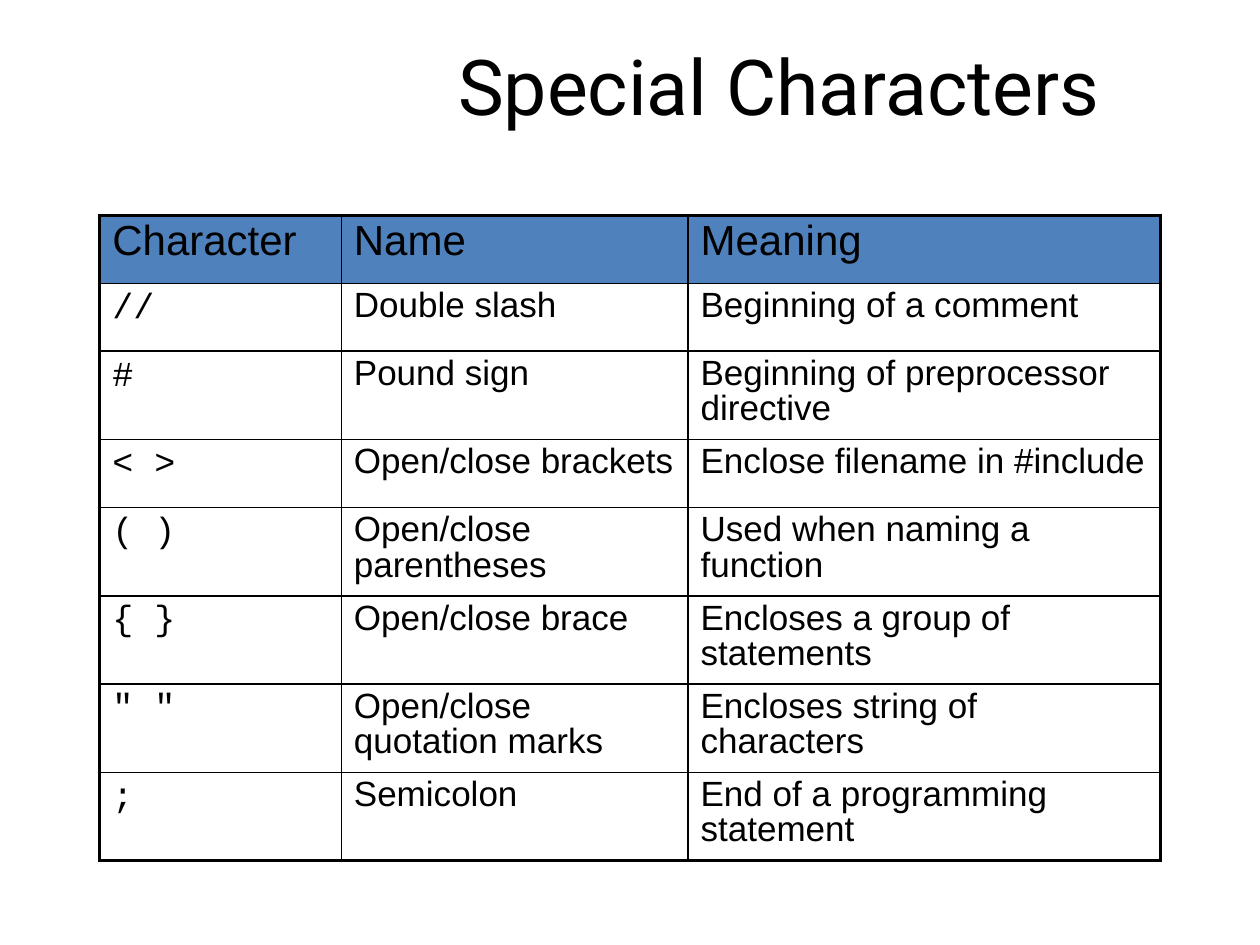
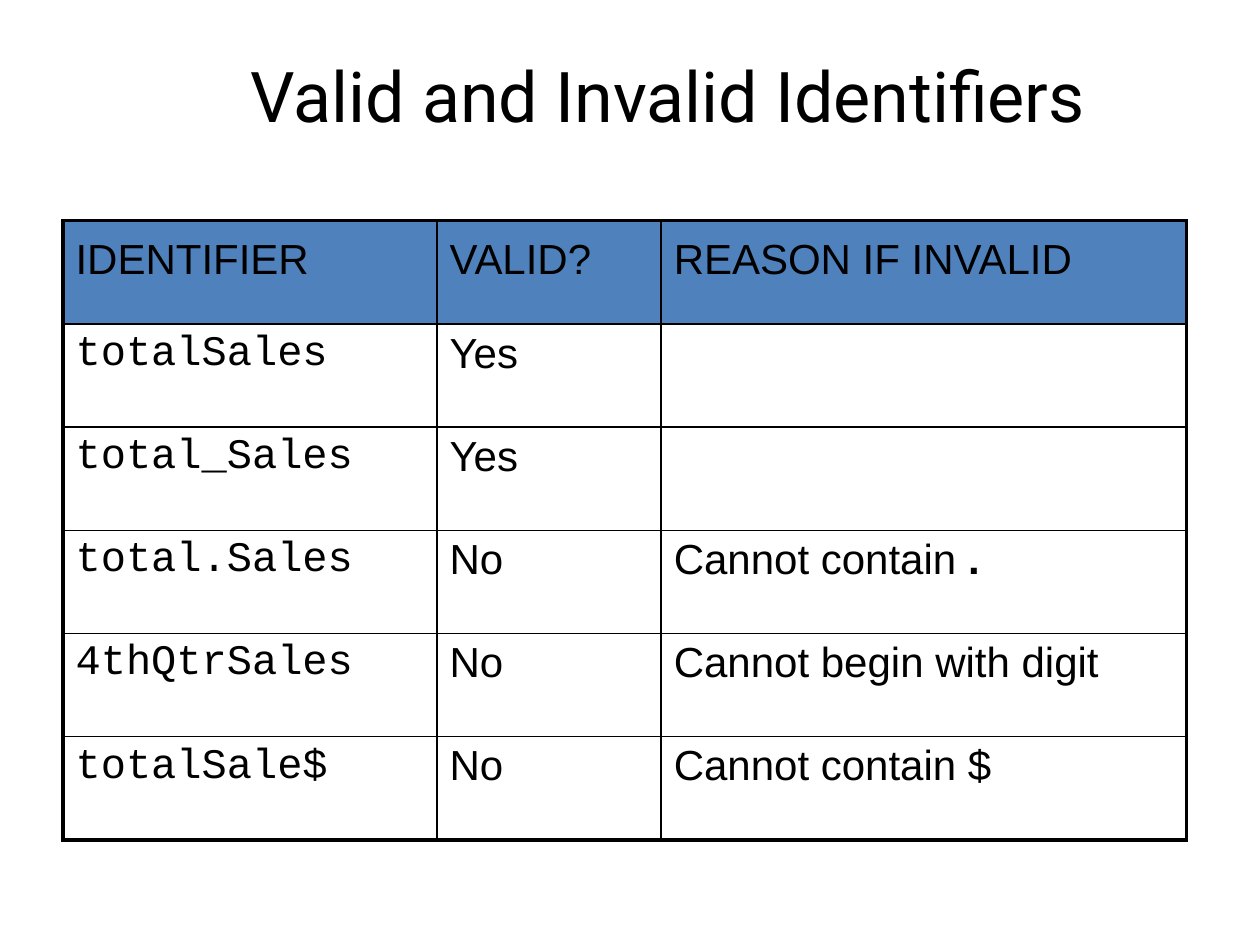
import lxml.etree
import pptx
import pptx.dml.color
import pptx.enum.text
import pptx.oxml.ns
import pptx.util

Cm = pptx.util.Cm
Pt = pptx.util.Pt

COLORS = {"text": "000000", "border": "000000", "header": "4F81BD"}
TITLE_FONT, BODY_FONT, CODE_FONT = "Roboto", "Arial", "Courier New"
HEADER_SIZE = 24
OUTER_LINE, INNER_LINE = 2.25, 1

CHARACTER_ROWS = [
    ["Character", "Name", "Meaning"],
    ["//", "Double slash", "Beginning of a comment"],
    ["#", "Pound sign", "Beginning of preprocessor directive"],
    ["< >", "Open/close brackets", "Enclose filename in #include "],
    ["( )", "Open/close parentheses", "Used when naming a function"],
    ["{ }", "Open/close brace", "Encloses a group of statements"],
    ['" "', "Open/close quotation marks", "Encloses string of characters"],
    [";", "Semicolon", "End of a programming statement"],
]
IDENTIFIER_ROWS = [
    ["IDENTIFIER", "VALID?", "REASON IF INVALID"],
    ["totalSales", "Yes", ""],
    ["total_Sales", "Yes", ""],
    ["total.Sales", "No", [("Cannot contain ", False), (".", True)]],
    ["4thQtrSales", "No", "Cannot begin with digit"],
    ["totalSale$", "No", "Cannot contain $"],
]


def rgb(name):
    return pptx.dml.color.RGBColor.from_string(COLORS[name])


def add_run(paragraph, text, font, size, bold=False):
    run = paragraph.add_run()
    run.text = text
    run.font.name = font
    run.font.size = Pt(size)
    run.font.bold = bold
    run.font.color.rgb = rgb("text")


def add_title(slide, text, size, left, top, width):
    box = slide.shapes.add_textbox(Cm(left), Cm(top), Cm(width), Cm(2.54))
    frame = box.text_frame
    frame.word_wrap = True
    frame.vertical_anchor = pptx.enum.text.MSO_ANCHOR.MIDDLE
    paragraph = frame.paragraphs[0]
    paragraph.alignment = pptx.enum.text.PP_ALIGN.CENTER
    add_run(paragraph, text, TITLE_FONT, size)


def add_border(cell, side, points):
    properties = cell._tc.get_or_add_tcPr()
    qn = pptx.oxml.ns.qn
    line = lxml.etree.SubElement(properties, qn("a:ln" + side), w=str(Pt(points)))
    fill = lxml.etree.SubElement(line, qn("a:solidFill"))
    lxml.etree.SubElement(fill, qn("a:srgbClr"), val=COLORS["border"])


def style_cell(cell, row, column, last_row, last_column):
    outer_sides = {"L": column == 0, "R": column == last_column,
                   "T": row == 0, "B": row == last_row}
    for side, outer in outer_sides.items():
        add_border(cell, side, OUTER_LINE if outer else INNER_LINE)
    if row == 0:
        cell.fill.solid()
        cell.fill.fore_color.rgb = rgb("header")
    else:
        cell.fill.background()


def fill_cell(cell, content, font, size, spacing):
    paragraph = cell.text_frame.paragraphs[0]
    paragraph.line_spacing = spacing
    runs = [(content, False)] if isinstance(content, str) else content
    for text, bold in runs:
        if text:
            add_run(paragraph, text, font, size, bold)


def add_grid(slide, rows, left, top, widths, heights, body_size,
             header_spacing, body_spacing):
    frame = slide.shapes.add_table(len(rows), len(widths), Cm(left), Cm(top),
                                   Cm(sum(widths)), Cm(sum(heights)))
    table = frame.table
    table.horz_banding = False
    table.first_row = False
    for column, width in zip(table.columns, widths):
        column.width = Cm(width)
    for row, height in zip(table.rows, heights):
        row.height = Cm(height)
    for r, contents in enumerate(rows):
        size = body_size if r else HEADER_SIZE
        spacing = body_spacing if r else header_spacing
        for c, content in enumerate(contents):
            cell = table.cell(r, c)
            style_cell(cell, r, c, len(rows) - 1, len(widths) - 1)
            font = CODE_FONT if r and c == 0 else BODY_FONT
            fill_cell(cell, content, font, size, spacing)


def add_characters_slide(slide):
    add_title(slide, "Special Characters", 44, 8.71, 0.43, 14)
    single, double = 1.37, 1.78
    heights = [single, single, double, single] + [double] * 4
    add_grid(slide, CHARACTER_ROWS, 2.01, 4.34, [4.87, 6.99, 9.53], heights,
             20, 0.9, 0.9)


def add_identifiers_slide(slide):
    add_title(slide, "Valid and Invalid Identifiers", 40, 3.23, 0.64, 20.47)
    add_grid(slide, IDENTIFIER_ROWS, 1.27, 4.45, [7.54, 4.52, 10.59],
             [2.08] * len(IDENTIFIER_ROWS), 24, 1.2, 1.0)


def main():
    presentation = pptx.Presentation()
    presentation.slide_width = Cm(25.4)
    presentation.slide_height = Cm(19.05)
    blank = presentation.slide_layouts[6]
    for build in (add_characters_slide, add_identifiers_slide):
        build(presentation.slides.add_slide(blank))
    presentation.save("out.pptx")


main()
